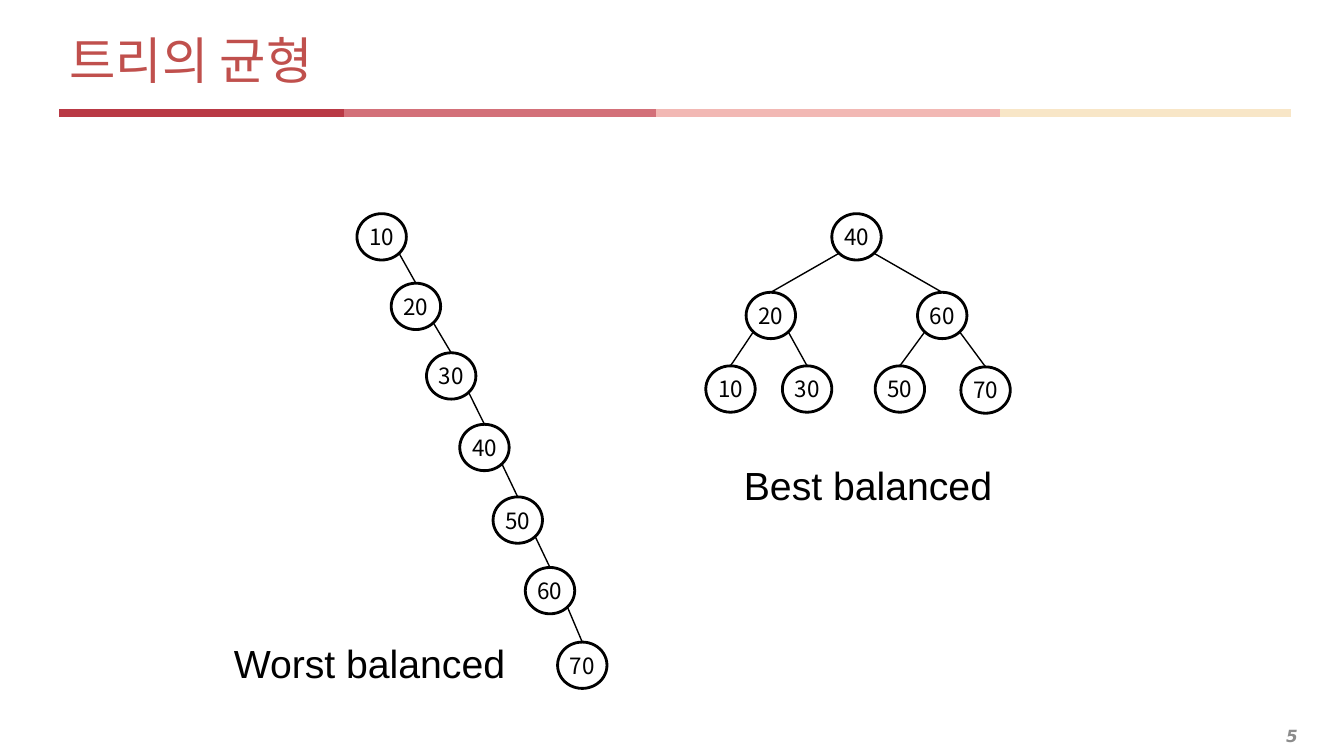
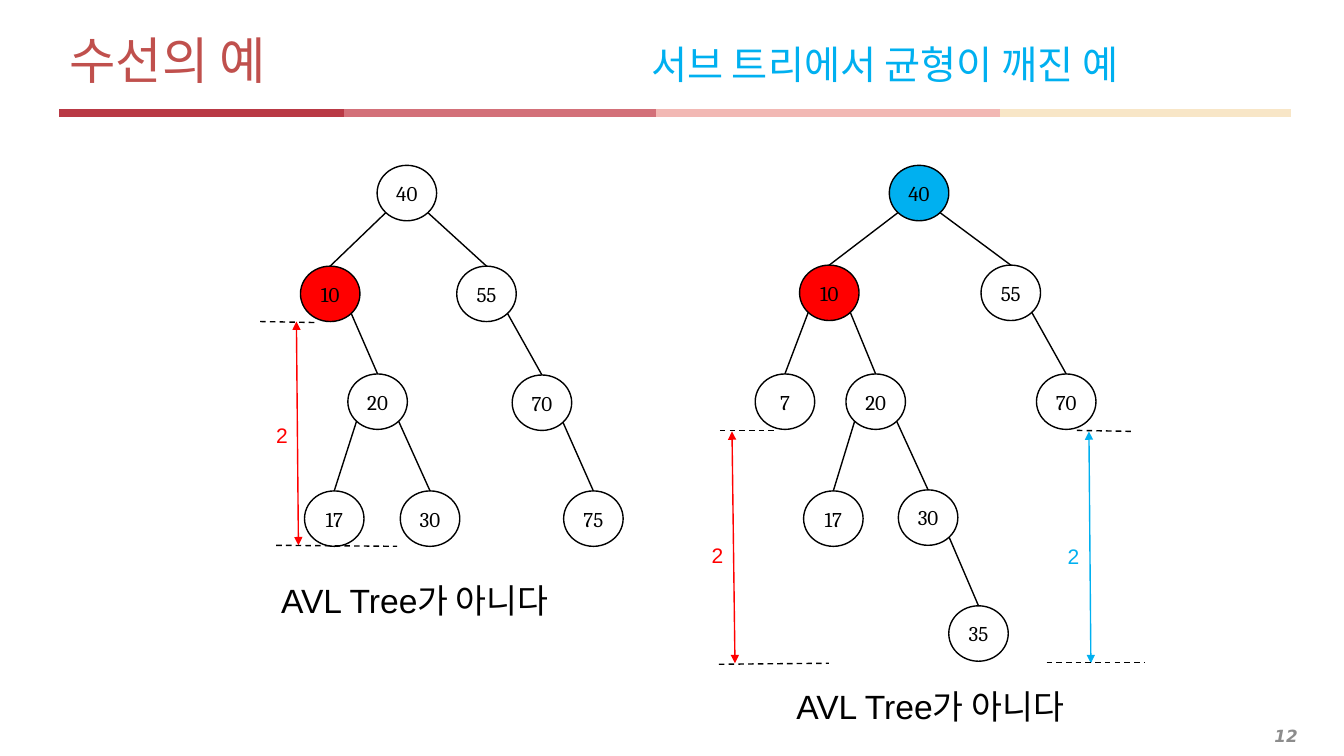
from lxml.etree import SubElement
from pptx import Presentation
from pptx.dml.color import RGBColor
from pptx.enum.dml import MSO_LINE
from pptx.enum.shapes import MSO_CONNECTOR, MSO_SHAPE
from pptx.enum.text import MSO_ANCHOR, MSO_AUTO_SIZE, PP_ALIGN
from pptx.oxml.ns import qn
from pptx.util import Inches, Pt

HUES = {
    "ink": "000000", "title": "C0504D", "page": "8C8C8C",
    "red": "FF0000", "blue": "00B0F0",
    "band1": "B93945", "band2": "D37079", "band3": "F2B8B4", "band4": "F8E6C7",
}
HANGUL = "Noto Sans CJK KR"
BANDS = [("band2", 3.1, 6.51), ("band3", 6.51, 9.92),
         ("band4", 9.92, 12.8), ("band1", 0.59, 3.41)]
DIAG = 0.5 ** 0.5 / 2  # lower corner of an ellipse, as a share of its size

# Node looks: width, height, outline, text size, font
SMALL = (0.49, 0.46, 2, 16, HANGUL)
LARGE = (0.59, 0.55, 1, 15, "Cambria")

# Trees: key -> (left, top, parent key)
WORST = {10: (3.54, 2.12, None), 20: (3.88, 2.81, 10), 30: (4.23, 3.5, 20),
         40: (4.56, 4.21, 30), 50: (4.89, 4.93, 40), 60: (5.21, 5.63, 50),
         70: (5.53, 6.37, 60)}
BEST = {40: (8.25, 2.12, None), 20: (7.4, 2.9, 40), 60: (9.1, 2.9, 40),
        10: (7, 3.63, 20), 30: (7.76, 3.63, 20),
        50: (8.68, 3.63, 60), 70: (9.53, 3.64, 60)}
LEFT = {40: (3.74, 1.64, None), 10: (2.98, 2.64, 40), 55: (4.53, 2.64, 40),
        20: (3.45, 3.71, 10), 70: (5.08, 3.72, 55), 17: (3.02, 4.87, 20),
        30: (3.97, 4.87, 20), 75: (5.59, 4.87, 70)}
RIGHT = {40: (8.82, 1.64, None), 10: (7.93, 2.63, 40), 55: (9.73, 2.63, 40),
         7: (7.49, 3.71, 10), 20: (8.39, 3.71, 10), 70: (10.28, 3.71, 55),
         17: (7.97, 4.87, 20), 30: (8.91, 4.86, 20), 35: (9.41, 6.01, 30)}


def tint(name):
    return RGBColor.from_string(HUES[name])


class Deck:
    def __init__(self):
        self.prs = Presentation()
        self.prs.slide_width = Inches(13.33)
        self.prs.slide_height = Inches(7.5)
        self.slide = None

    def run(self, para, text, size, hue="ink", font="Arial", bold=False):
        run = para.add_run()
        run.text = text
        run.font.size = Pt(size)
        run.font.name = font
        run.font.color.rgb = tint(hue)
        if bold:
            run.font.bold = run.font.italic = True
        SubElement(run.font._element, qn("a:ea"), typeface=HANGUL)

    def box(self, left, top, wide, high):
        box = self.slide.shapes.add_textbox(
            Inches(left), Inches(top), Inches(wide), Inches(high))
        frame = box.text_frame
        frame.word_wrap = True
        frame.vertical_anchor = MSO_ANCHOR.MIDDLE
        return frame

    def label(self, text, left, top, wide, high, size, hue="ink"):
        frame = self.box(left, top, wide, high)
        frame.word_wrap = False
        frame.vertical_anchor = MSO_ANCHOR.TOP
        frame.auto_size = MSO_AUTO_SIZE.SHAPE_TO_FIT_TEXT
        self.run(frame.paragraphs[0], text, size, hue)

    def line(self, x1, y1, x2, y2, hue="ink", width=1, dash=False, tips=False):
        link = self.slide.shapes.add_connector(
            MSO_CONNECTOR.STRAIGHT, Inches(x1), Inches(y1), Inches(x2), Inches(y2))
        link.line.color.rgb = tint(hue)
        link.line.width = Pt(width)
        if dash:
            link.line.dash_style = MSO_LINE.DASH
        props = link._element.spPr
        if tips:
            for end in ("a:headEnd", "a:tailEnd"):
                SubElement(props.find(qn("a:ln")), qn(end), type="triangle")
        SubElement(props, qn("a:effectLst"))

    def page(self, number, title, side=None):
        self.slide = self.prs.slides.add_slide(self.prs.slide_layouts[6])
        # Footer number
        para = self.box(0.2, 7.14, 12.77, 0.31).paragraphs[0]
        para.alignment = PP_ALIGN.RIGHT
        self.run(para, str(number), 12, "page", "DejaVu Sans", True)
        # Colour band
        for hue, start, stop in BANDS:
            self.line(start, 1.12, stop, 1.12, hue, 6)
        # Title, with an optional side note at a tab stop
        para = self.box(0.59, 0.25, 12.21, 0.68).paragraphs[0]
        if side:
            tabs = SubElement(para._p.get_or_add_pPr(), qn("a:tabLst"))
            SubElement(tabs, qn("a:tab"), pos=str(Inches(5.77)), algn="l")
            title += "\t"
        self.run(para, title, 36, "title", HANGUL)
        if side:
            self.run(para, side, 28, "blue", HANGUL)

    def node(self, key, left, top, look, fill=None):
        wide, high, edge, size, font = look
        oval = self.slide.shapes.add_shape(
            MSO_SHAPE.OVAL, Inches(left), Inches(top), Inches(wide), Inches(high))
        oval.shadow.inherit = False
        if fill:
            oval.fill.solid()
            oval.fill.fore_color.rgb = tint(fill)
        else:
            oval.fill.background()
        oval.line.color.rgb = tint("ink")
        oval.line.width = Pt(edge)
        frame = oval.text_frame
        frame.word_wrap = False
        frame.vertical_anchor = MSO_ANCHOR.MIDDLE
        frame.margin_left = frame.margin_right = 0
        frame.margin_top = frame.margin_bottom = 0
        para = frame.paragraphs[0]
        para.alignment = PP_ALIGN.CENTER
        self.run(para, str(key), size, font=font)

    def tree(self, nodes, look, fills=None):
        wide, high = look[:2]
        for key, (left, top, up) in nodes.items():
            self.node(key, left, top, look, (fills or {}).get(key))
            if up is not None:
                x, y, _ = nodes[up]
                turn = DIAG if left > x else -DIAG
                self.line(x + wide * (0.5 + turn), y + high * (0.5 + DIAG),
                          left + wide / 2, top)

    def span(self, hue, arrow, note, *rules):
        # Height mark: double arrow, its value and dashed limits
        self.line(*arrow, hue=hue, tips=True)
        self.label("2", *note, 0.32, 0.35, 15, hue)
        for rule in rules:
            self.line(*rule, dash=True)


def main():
    deck = Deck()

    # Balance of trees
    deck.page(5, "트리의 균형")
    deck.label("Worst balanced", 2.22, 6.29, 2.91, 0.57, 28)
    deck.label("Best balanced", 7.28, 4.53, 2.67, 0.57, 28)
    deck.tree(WORST, SMALL)
    deck.tree(BEST, SMALL)

    # Broken subtrees
    deck.page(12, "수선의 예", "서브 트리에서 균형이 깨진 예")
    deck.tree(LEFT, LARGE, {10: "red"})
    deck.tree(RIGHT, LARGE, {40: "blue", 10: "red"})
    deck.span("red", (2.94, 3.19, 2.96, 5.41), (2.64, 4.14),
              (2.58, 3.19, 3.14, 3.2), (2.74, 5.41, 3.94, 5.42))
    deck.span("red", (7.26, 4.28, 7.29, 6.58), (6.96, 5.33),
              (7.14, 4.27, 7.7, 4.27), (7.13, 6.59, 8.22, 6.58))
    deck.span("blue", (10.8, 4.28, 10.82, 6.58), (10.49, 5.34),
              (10.68, 4.27, 11.24, 4.28), (10.38, 6.57, 11.35, 6.57))
    for left, top in ((2.69, 5.7), (7.8, 6.76)):
        deck.label("AVL Tree가 아니다", left, top, 3.01, 0.5, 24)

    deck.prs.save("out.pptx")


if __name__ == "__main__":
    main()
